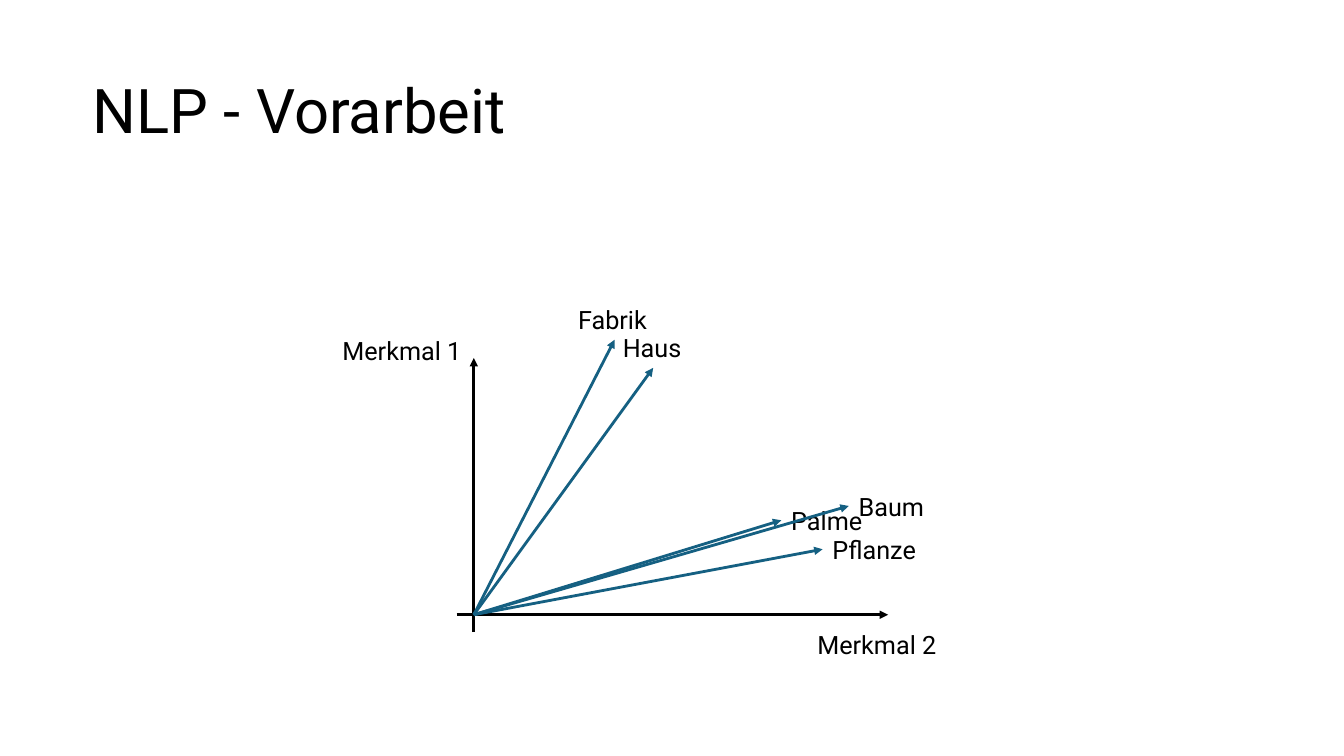
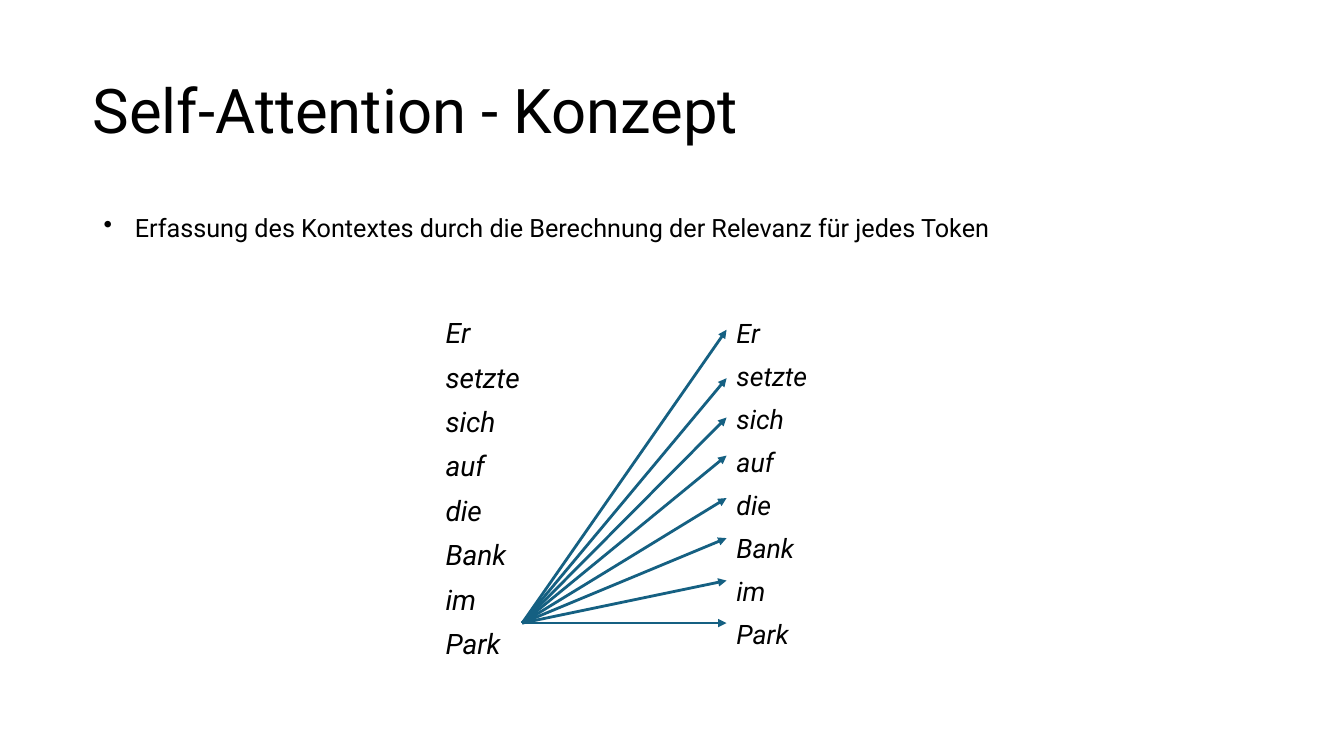
from lxml import etree
from pptx import Presentation
from pptx.dml.color import RGBColor
from pptx.enum.shapes import MSO_CONNECTOR
from pptx.enum.text import MSO_ANCHOR, MSO_AUTO_SIZE
from pptx.oxml.ns import qn
from pptx.util import Cm, Pt

STRAIGHT = MSO_CONNECTOR.STRAIGHT
MIDDLE = MSO_ANCHOR.MIDDLE
GROW = MSO_AUTO_SIZE.SHAPE_TO_FIT_TEXT

FONT = "Roboto"
BLACK = "000000"
BLUE = "156082"
LABEL_HEIGHT = 1.02
PADDING = (0.25, 0.13)
BULLET_INDENT = 0.79

ORIGIN = (11.94, 15.49)
AXES = [((11.51, 15.49), (22.38, 15.49)), ((11.94, 15.93), (11.94, 9.02))]
AXIS_LABELS = [("Merkmal 2", 20.35, 15.72), ("Merkmal 1", 8.38, 8.31)]
VECTORS_LABELLED_ABOVE = [("Fabrik", 15.49, 8.56, 2.34), ("Haus", 16.46, 9.27, 2.03)]
VECTORS_LABELLED_RIGHT = [
    ("Palme", 19.69, 13.11, 2.36),
    ("Pflanze", 20.73, 13.84, 2.67),
    ("Baum", 21.39, 12.75, 2.26),
]

TOKENS = ["Er", "setzte", "sich", "auf", "die", "Bank", "im", "Park"]
QUERY_POINT = (13.16, 15.7)
KEY_LEFT = 18.31
KEY_HEIGHTS = [8.31, 9.53, 10.52, 11.48, 12.55, 13.56, 14.63, 15.7]


def color(value):
    return RGBColor.from_string(value)


def add_text(page, lines, left, top, width, height, size, padding=(0, 0), italic=False):
    box = page.shapes.add_textbox(Cm(left), Cm(top), Cm(width), Cm(height))
    frame = box.text_frame
    frame.word_wrap = True
    frame.margin_left = frame.margin_right = Cm(padding[0])
    frame.margin_top = frame.margin_bottom = Cm(padding[1])
    frame.text = "\n".join(lines)
    for para in frame.paragraphs:
        para.font.name = FONT
        para.font.size = Pt(size)
        para.font.italic = italic
        para.font.color.rgb = color(BLACK)
    return frame


def add_title(page, text):
    frame = add_text(page, [text], 2.34, 1.02, 29.21, 3.68, 44)
    frame.vertical_anchor = MIDDLE
    frame.paragraphs[0].line_spacing = 0.9


def add_label(page, text, left, top, width):
    frame = add_text(page, [text], left, top, width, LABEL_HEIGHT, 18, PADDING)
    frame.word_wrap = False
    frame.auto_size = GROW
    return frame


def add_bullet(page, text, left, top, width):
    para = add_label(page, text, left, top, width).paragraphs[0]
    properties = para._p.get_or_add_pPr()
    properties.set("marL", str(Cm(BULLET_INDENT)))
    properties.set("indent", str(-Cm(BULLET_INDENT)))
    bullet = etree.Element(qn("a:buChar"), char="•")
    properties.insert(0, bullet)


def add_token_column(page, left, top, size):
    frame = add_text(page, TOKENS, left, top, 2.97, 8.74, size, italic=True)
    for index, para in enumerate(frame.paragraphs):
        para.line_spacing = 0.9
        para.space_before = Pt(10 if index else 0)


def add_arrow(page, start, end, line_color):
    points = [Cm(value) for value in (*start, *end)]
    arrow = page.shapes.add_connector(STRAIGHT, *points)
    arrow.line.color.rgb = color(line_color)
    arrow.line.width = Pt(0)
    etree.SubElement(arrow.line._get_or_add_ln(), qn("a:tailEnd"), type="triangle")
    etree.SubElement(arrow._element.spPr, qn("a:effectLst"))


def build_vector_space(page):
    add_title(page, "NLP - Vorarbeit")
    for start, end in AXES:
        add_arrow(page, start, end, BLACK)
    for text, left, top in AXIS_LABELS:
        add_label(page, text, left, top, 3.68)
    for text, x, y, width in VECTORS_LABELLED_ABOVE:
        add_arrow(page, ORIGIN, (x, y), BLUE)
        add_label(page, text, x - width / 2, y - LABEL_HEIGHT, width)
    for text, x, y, width in VECTORS_LABELLED_RIGHT:
        add_arrow(page, ORIGIN, (x, y), BLUE)
        add_label(page, text, x, y - LABEL_HEIGHT / 2, width)


def build_self_attention(page):
    add_title(page, "Self-Attention - Konzept")
    add_token_column(page, 11.23, 8.05, 20.1)
    add_token_column(page, KEY_LEFT + PADDING[0], 8.08, 19.1)
    for height in KEY_HEIGHTS:
        add_arrow(page, QUERY_POINT, (KEY_LEFT, height), BLUE)
    add_bullet(
        page,
        "Erfassung des Kontextes durch die Berechnung der Relevanz für jedes Token",
        2.36, 5.23, 24.13,
    )


def main():
    deck = Presentation()
    deck.slide_width = Cm(33.87)
    deck.slide_height = Cm(19.05)
    for build in (build_vector_space, build_self_attention):
        build(deck.slides.add_slide(deck.slide_layouts[6]))
    deck.save("out.pptx")


if __name__ == "__main__":
    main()
